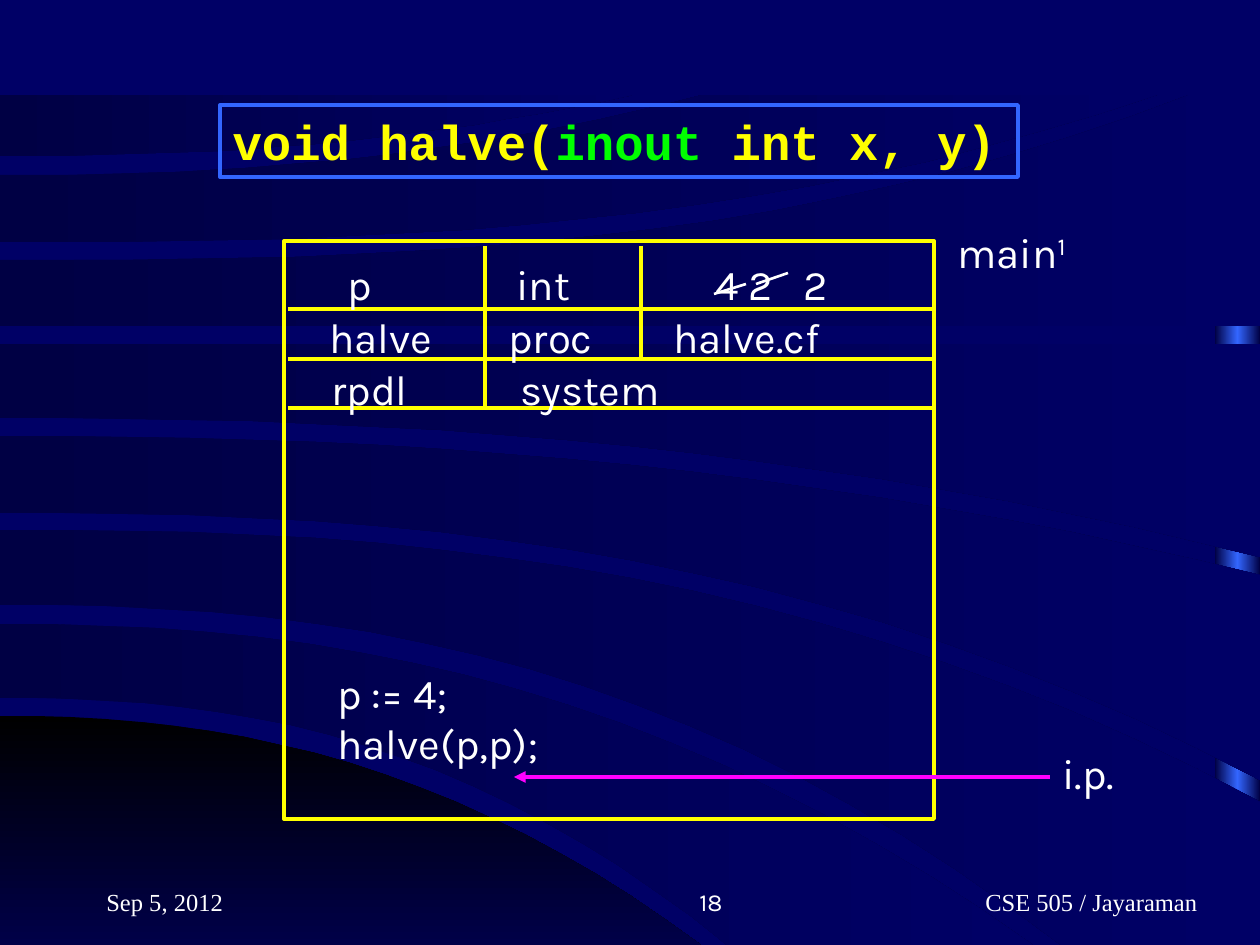
from copy import deepcopy

from lxml import etree
from pptx import Presentation
from pptx import util as u
from pptx.dml.color import RGBColor
from pptx.enum import shapes, text
from pptx.oxml.ns import qn

WIDTH, HEIGHT = 1260, 945
PX = u.Inches(10) / WIDTH

NAVY, DARK, BLUE = "000066", "000044", "3366FF"
YELLOW, GREEN, PINK, WHITE = "FFFF00", "00FF00", "FF00FF", "FFFFFF"

HEADER = [("void halve(", YELLOW), ("inout", GREEN), (" int x, y)", YELLOW)]

# Backdrop bands, bottom to top: upper and lower edge as (y at left, end x, end y, power)
BAND_TOP = 95
CORNER = ((716, 701, HEIGHT, 2.27), (HEIGHT, 701, HEIGHT, 1))
BANDS = [
    ((624, 1033, HEIGHT, 2.3), (698, 727, HEIGHT, 2.4)),
    ((530, WIDTH, 802, 2.5), (605, 1061, HEIGHT, 2.4)),
    ((436, WIDTH, 575, 2.25), (513, WIDTH, 780, 2.5)),
    ((344, WIDTH, 344, 1), (418, WIDTH, 557, 2.3)),
    ((260, 1189, BAND_TOP, 2.8), (326, WIDTH, 326, 1)),
    ((175, 702, BAND_TOP, 2.3), (242, 1157, BAND_TOP, 2.7)),
    ((BAND_TOP, 633, BAND_TOP, 1), (156, 633, BAND_TOP, 2.3)),
]
STEPS = 20

FRAME = (284, 241, 650, 578)
ROW_RULES = [309, 359, 408]
COLUMN_RULES = [(485, 408), (641, 359)]  # x, bottom
STRIKES = [((746, 284), (714, 294)), ((788, 273), (756, 284))]

# Each row: top, then (left, width, entry)
ROWS = [
    (252, [(335, 158, "p"), (504, 130, "int"), (703, 85, "4 2"), (791, 60, "2")]),
    (305, [(317, 160, "halve"), (496, 140, "proc"), (661, 260, "halve.cf")]),
    (357, [(319, 160, "rpdl"), (508, 312, "system")]),
]
FOOTERS = [
    ("Sep 5, 2012", 94, 262, "Times New Roman", text.PP_ALIGN.LEFT),
    ("18", 473, 262, "Karla", text.PP_ALIGN.RIGHT),
    ("CSE 505 / Jayaraman", 973, 249, "Times New Roman", text.PP_ALIGN.LEFT),
]


def px(*values):
    return [u.Emu(round(value * PX)) for value in values]


def rgb(color):
    return RGBColor.from_string(color)


def write(frame, paragraphs, size=24, font="Karla", bold=False,
          align=text.PP_ALIGN.LEFT, anchor=text.MSO_ANCHOR.TOP):
    """Fill a frame with paragraphs, each a list of (text, colour[, baseline])."""
    frame.word_wrap = True
    frame.auto_size = text.MSO_AUTO_SIZE.NONE
    frame.vertical_anchor = anchor
    frame.margin_left = frame.margin_right = u.Inches(0.1)
    frame.margin_top = frame.margin_bottom = u.Inches(0.05)
    for index, pieces in enumerate(paragraphs):
        paragraph = frame.add_paragraph() if index else frame.paragraphs[0]
        paragraph.alignment = align
        for words, color, *baseline in pieces:
            run = paragraph.add_run()
            run.text = words
            run.font.size, run.font.name, run.font.bold = u.Pt(size), font, bold
            run.font.color.rgb = rgb(color)
            if baseline:
                run.font._element.set("baseline", str(baseline[0] * 1000))


def add_text(slide, box, *lines, **style):
    paragraphs = [[(line, WHITE)] if isinstance(line, str) else line for line in lines]
    write(slide.shapes.add_textbox(*px(*box)).text_frame, paragraphs, **style)


def outline(shape, color):
    shape.line.color.rgb = rgb(color)
    shape.line.width = u.Pt(2.25)


def add_rule(slide, start, end, color=YELLOW, width=2.25, arrow=False):
    rule = slide.shapes.add_connector(shapes.MSO_CONNECTOR.STRAIGHT, *px(*start, *end))
    rule.line.color.rgb = rgb(color)
    rule.line.width = u.Pt(width)
    if arrow:
        etree.SubElement(rule.line._get_or_add_ln(), qn("a:tailEnd"), type="triangle")
    etree.SubElement(rule.element.spPr, qn("a:effectLst"))


def shade(shape, first, last, angle=0):
    shape.shadow.inherit = False
    shape.line.fill.background()
    shape.fill.gradient()
    shape.fill.gradient_angle = angle
    for stop, color in zip(shape.fill.gradient_stops, (first, last)):
        stop.color.rgb = rgb(color)


def edge_points(edge, right):
    """Points of a power curve, carried on level to the right."""
    start_y, end_x, end_y, power = edge
    curve = [(end_x * step / STEPS, start_y + (end_y - start_y) * (step / STEPS) ** power)
             for step in range(STEPS + 1)]
    return curve + [(right, end_y)]


def add_band(slide, edges, *shading):
    right = max(end_x for _, end_x, _, _ in edges)
    upper, lower = (edge_points(edge, right) for edge in edges)
    points = upper + lower[::-1]
    builder = slide.shapes.build_freeform(*points[0], scale=PX)
    builder.add_line_segments(points[1:], close=True)
    shade(builder.convert_to_shape(), *shading)


def add_backdrop(slide):
    slide.background.fill.solid()
    slide.background.fill.fore_color.rgb = rgb(NAVY)
    stripe = slide.shapes.add_shape(shapes.MSO_SHAPE.RECTANGLE, *px(1215, 97, 45, HEIGHT - 97))
    shade(stripe, DARK, BLUE)
    stops = stripe.element.spPr.find(".//" + qn("a:gsLst"))
    stops.append(deepcopy(stops[0]))
    for stop, position in zip(stops, (0, 50000, 100000)):
        stop.set("pos", str(position))
    add_band(slide, CORNER, "000000", "000048", 270)
    for band in BANDS:
        add_band(slide, band, DARK, NAVY)


def add_header(slide):
    header = slide.shapes.title
    slide.shapes.element.append(header.element)  # in front of the backdrop
    header.left, header.top, header.width, header.height = px(220, 105, 798, 72)
    outline(header, BLUE)
    write(header.text_frame, [HEADER], size=28, font="Courier New", bold=True)


def add_record(slide):
    left, top, width, _ = FRAME
    frame = slide.shapes.add_shape(shapes.MSO_SHAPE.RECTANGLE, *px(*FRAME))
    frame.shadow.inherit = False
    frame.fill.background()
    outline(frame, YELLOW)
    for y in ROW_RULES:
        add_rule(slide, (left + 4, y), (left + width, y))
    for x, bottom in COLUMN_RULES:
        add_rule(slide, (x, top + 5), (x, bottom))
    for row_top, entries in ROWS:
        for x, entry_width, entry in entries:
            add_text(slide, (x, row_top, entry_width, 63), entry)
    for start, end in STRIKES:
        add_rule(slide, start, end, WHITE, 1.5)


def main():
    deck = Presentation()
    deck.slide_width, deck.slide_height = px(WIDTH, HEIGHT)
    slide = deck.slides.add_slide(deck.slide_layouts[5])
    add_backdrop(slide)
    add_header(slide)
    add_record(slide)
    add_text(slide, (945, 220, 257, 63), [("main", WHITE), ("1", WHITE, 30)])
    add_text(slide, (325, 661, 250, 114), "p := 4;", "halve(p,p);")
    add_rule(slide, (1050, 777), (514, 777), PINK, arrow=True)
    add_text(slide, (1050, 741, 100, 63), "i.p.")
    for words, left, width, font, align in FOOTERS:
        add_text(slide, (left, 860, width, 63), words, size=14, font=font, align=align,
                 anchor=text.MSO_ANCHOR.BOTTOM)
    deck.save("out.pptx")


if __name__ == "__main__":
    main()
